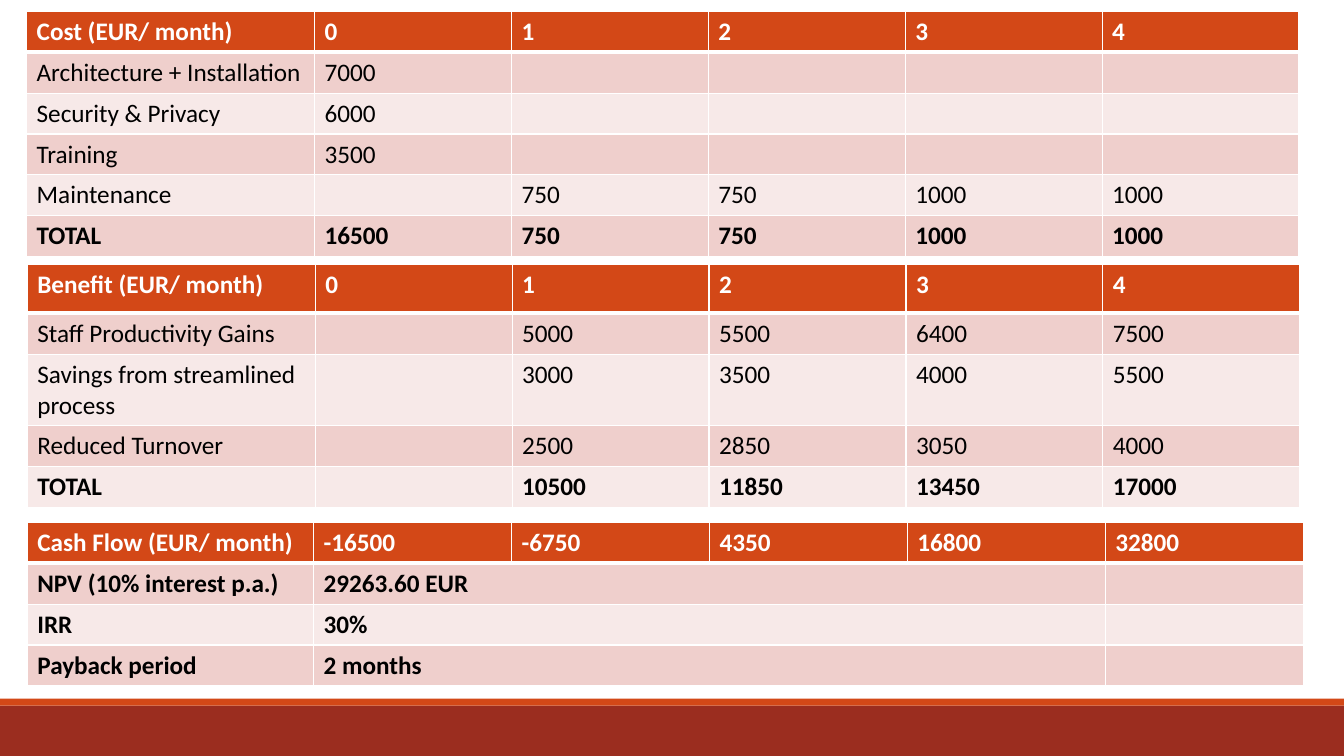
import dataclasses

import pptx
import pptx.dml.color
import pptx.enum.shapes
import pptx.oxml
import pptx.oxml.ns
import pptx.util


@dataclasses.dataclass(frozen=True)
class Theme:
    """Colours, font and sizes of the slide."""
    font: str = "Calibri"
    size: int = 18
    header: str = "D34817"
    footer: str = "9B2D1F"
    bands: tuple = ("EFCFCC", "F7E9E8")
    light: str = "FFFFFF"
    dark: str = "000000"
    thin: int = 1
    thick: int = 3


def rgb(value):
    """Return a colour object for a hex string."""
    return pptx.dml.color.RGBColor.from_string(value)


class Deck:
    """Draws styled elements, placed in percent of the slide's size."""

    def __init__(self, prs, theme):
        """Start a blank slide."""
        self.prs, self.theme = prs, theme
        self.slide = prs.slides.add_slide(prs.slide_layouts[6])

    def x(self, share):
        """Return a percentage of the slide width."""
        return round(self.prs.slide_width * share / 100)

    def y(self, share):
        """Return a percentage of the slide height."""
        return round(self.prs.slide_height * share / 100)

    def bar(self, top, height, color):
        """Draw a full-width bar."""
        sp = self.slide.shapes.add_shape(
            pptx.enum.shapes.MSO_SHAPE.RECTANGLE,
            0, self.y(top), self.x(100), self.y(height))
        sp.shadow.inherit = False
        sp.fill.solid()
        sp.fill.fore_color.rgb = rgb(color)
        sp.line.fill.background()

    def border(self, cell, side, width):
        """Add a light border to one side of a cell."""
        nsdecls = pptx.oxml.ns.nsdecls("a")
        cell._tc.get_or_add_tcPr().append(pptx.oxml.parse_xml(
            f'<a:ln{side} {nsdecls} w="{pptx.util.Pt(width)}"><a:solidFill>'
            f'<a:srgbClr val="{self.theme.light}"/></a:solidFill></a:ln{side}>'))

    def cell(self, cell, text, row, bold):
        """Style one cell and write its text."""
        th, head = self.theme, row == 0
        for side in "LRTB" if head else "LRB":
            self.border(cell, side, th.thick if head and side == "B" else th.thin)
        cell.fill.solid()
        cell.fill.fore_color.rgb = rgb(th.header if head else th.bands[(row - 1) % 2])
        if text:
            r = cell.text_frame.paragraphs[0].add_run()
            r.text = text
            r.font.name, r.font.size = th.font, pptx.util.Pt(th.size)
            r.font.bold = bold
            r.font.color.rgb = rgb(th.light if head else th.dark)

    def table(self, left, top, widths, heights, rows, bold_rows, merged_rows=()):
        """Draw a banded table with a header row."""
        table = self.slide.shapes.add_table(
            len(rows), len(widths), self.x(left), self.y(top),
            self.x(sum(widths)), self.y(sum(heights))).table
        for col, width in zip(table.columns, widths):
            col.width = self.x(width)
        for i, (values, height) in enumerate(zip(rows, heights)):
            table.rows[i].height = self.y(height)
            for j, text in enumerate(values):
                self.cell(table.cell(i, j), text, i, i in bold_rows)
            if i in merged_rows:
                table.cell(i, 1).merge(table.cell(i, len(widths) - 2))


COSTS = [
    ["Cost (EUR/ month)", "0", "1", "2", "3", "4"],
    ["Architecture + Installation", "7000", "", "", "", ""],
    ["Security & Privacy", "6000", "", "", "", ""],
    ["Training", "3500", "", "", "", ""],
    ["Maintenance", "", "750", "750", "1000", "1000"],
    ["TOTAL", "16500", "750", "750", "1000", "1000"],
]
BENEFITS = [
    ["Benefit (EUR/ month)", "0", "1", "2", "3", "4"],
    ["Staff Productivity Gains", "", "5000", "5500", "6400", "7500"],
    ["Savings from streamlined process", "", "3000", "3500", "4000", "5500"],
    ["Reduced Turnover", "", "2500", "2850", "3050", "4000"],
    ["TOTAL", "", "10500", "11850", "13450", "17000"],
]
CASH_FLOW = [
    ["Cash Flow (EUR/ month)", "-16500", "-6750", "4350", "16800", "32800"],
    ["NPV (10% interest p.a.)", "29263.60 EUR", "", "", "", ""],
    ["IRR", "30%", "", "", "", ""],
    ["Payback period", "2 months", "", "", "", ""],
]


def main():
    """Build and save the slide."""
    prs = pptx.Presentation()
    prs.slide_width = pptx.util.Inches(13.33)
    prs.slide_height = pptx.util.Inches(7.5)
    theme = Theme()
    deck = Deck(prs, theme)
    deck.bar(93.33, 6.67, theme.footer)
    deck.bar(92.4, 0.93, theme.header)

    row = 5.4
    widths = [21.43] + [14.65] * 5
    deck.table(1.98, 1.5, widths, [row] * 6, COSTS, (0, 5))
    deck.table(2.03, 34.95, widths, [6.5, row, 9.47, row, row], BENEFITS, (0, 4))
    deck.table(2.03, 69.1, [21.3] + [14.73] * 5, [row] * 4, CASH_FLOW,
               range(4), merged_rows=(1, 2, 3))
    prs.save("out.pptx")


if __name__ == "__main__":
    main()
